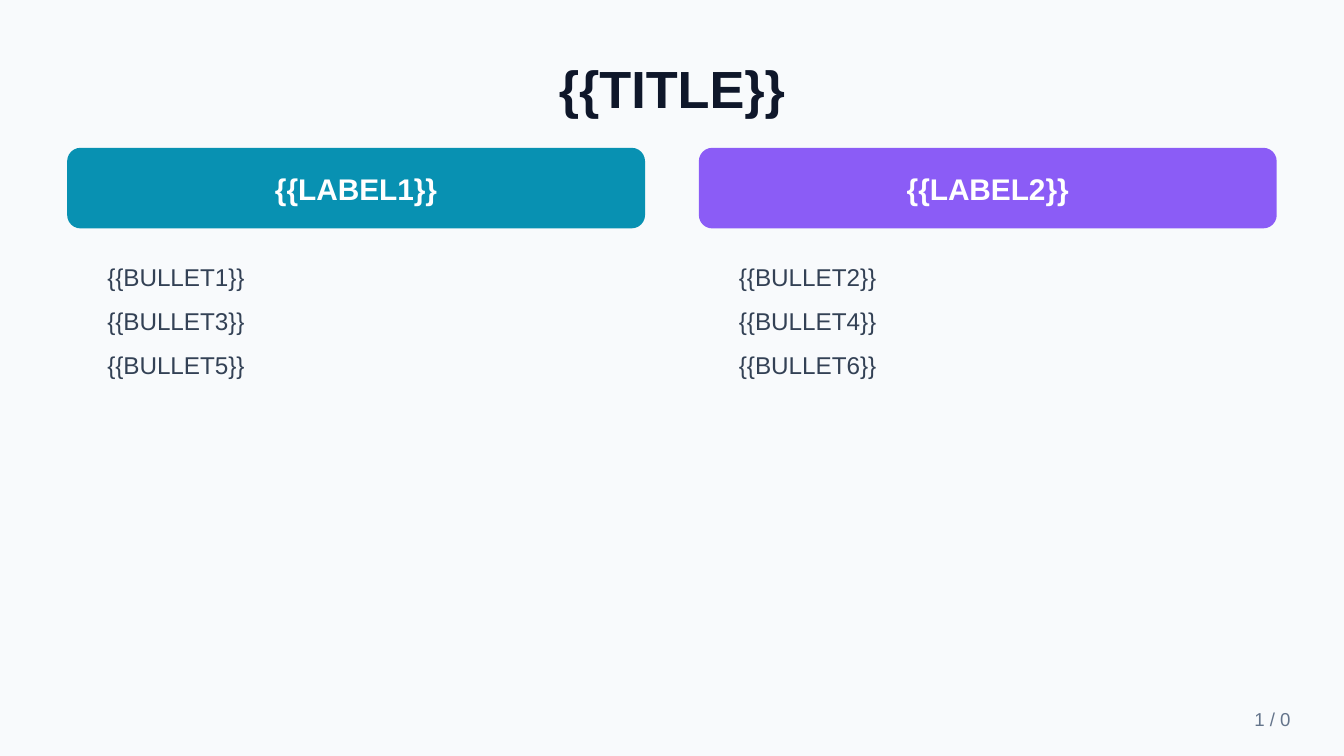
from pptx import Presentation
from pptx.dml.color import RGBColor
from pptx.enum.shapes import MSO_SHAPE
from pptx.enum.text import MSO_ANCHOR, PP_ALIGN
from pptx.util import Inches, Pt

LEFT, CENTER, RIGHT = PP_ALIGN.LEFT, PP_ALIGN.CENTER, PP_ALIGN.RIGHT
TOP, MIDDLE = MSO_ANCHOR.TOP, MSO_ANCHOR.MIDDLE
ROUNDED = MSO_SHAPE.ROUNDED_RECTANGLE

BACKGROUND = RGBColor(0xF8, 0xFA, 0xFC)
INK = RGBColor(0x0F, 0x17, 0x2A)
BODY = RGBColor(0x33, 0x41, 0x55)
MUTED = RGBColor(0x64, 0x74, 0x8B)
WHITE = RGBColor(0xFF, 0xFF, 0xFF)
TEAL = RGBColor(0x08, 0x91, 0xB2)
VIOLET = RGBColor(0x8B, 0x5C, 0xF6)

deck = Presentation()
deck.slide_width = Inches(10)
deck.slide_height = deck.slide_width * 9 // 16
page = deck.slides.add_slide(deck.slide_layouts[6])
page.background.fill.solid()
page.background.fill.fore_color.rgb = BACKGROUND


def add_text(place, lines, size, color, align=LEFT, anchor=MIDDLE, bold=False, gap=0):
    box = page.shapes.add_textbox(*[Inches(length) for length in place])
    frame = box.text_frame
    frame.word_wrap = True
    frame.vertical_anchor = anchor
    frame.text = "\n".join(lines)
    for para in frame.paragraphs:
        para.alignment = align
        para.space_after = Pt(gap)
        para.font.name = "Arial"
        para.font.size = Pt(size)
        para.font.bold = bold
        para.font.color.rgb = color


# Title
add_text((0.5, 0.3, 9, 0.7), ["{{TITLE}}"], 28, INK, CENTER, bold=True)

# Coloured column headers
headers = [(0.5, TEAL, "{{LABEL1}}"), (5.2, VIOLET, "{{LABEL2}}")]
for left, color, label in headers:
    place = (left, 1.1, 4.3, 0.6)
    header = page.shapes.add_shape(ROUNDED, *[Inches(length) for length in place])
    header.shadow.inherit = False
    header.fill.solid()
    header.fill.fore_color.rgb = color
    header.line.fill.background()
    add_text(place, [label], 16, WHITE, CENTER, bold=True)

# Lists below the headers
lists = [
    (0.7, ["{{BULLET1}}", "{{BULLET3}}", "{{BULLET5}}"]),
    (5.4, ["{{BULLET2}}", "{{BULLET4}}", "{{BULLET6}}"]),
]
for left, bullets in lists:
    add_text((left, 1.9, 3.9, 2.8), bullets, 13, BODY, anchor=TOP, gap=8)

# Page number
add_text((8.5, 5.2, 1.2, 0.3), ["1 / 0"], 10, MUTED, RIGHT)

deck.save("out.pptx")
